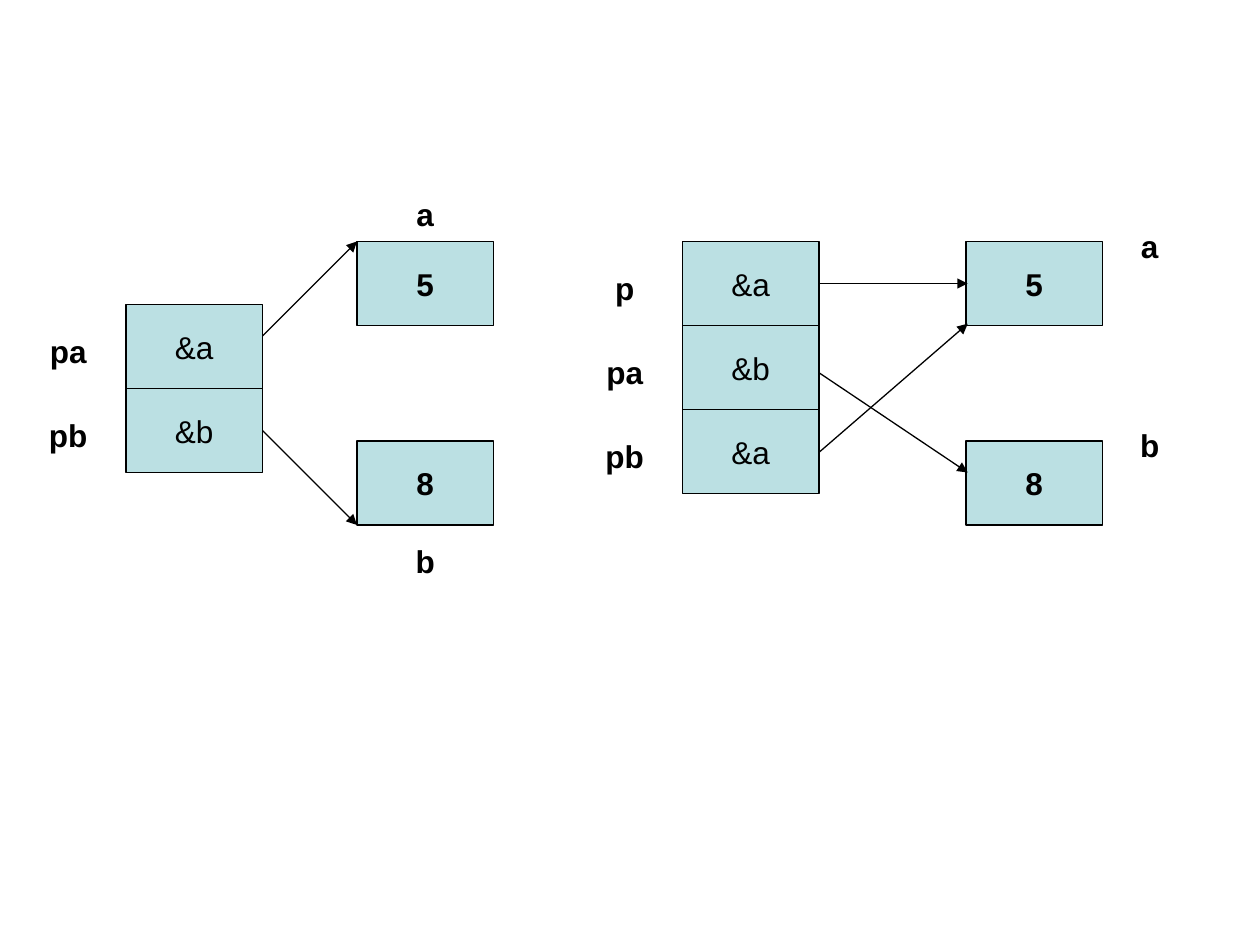
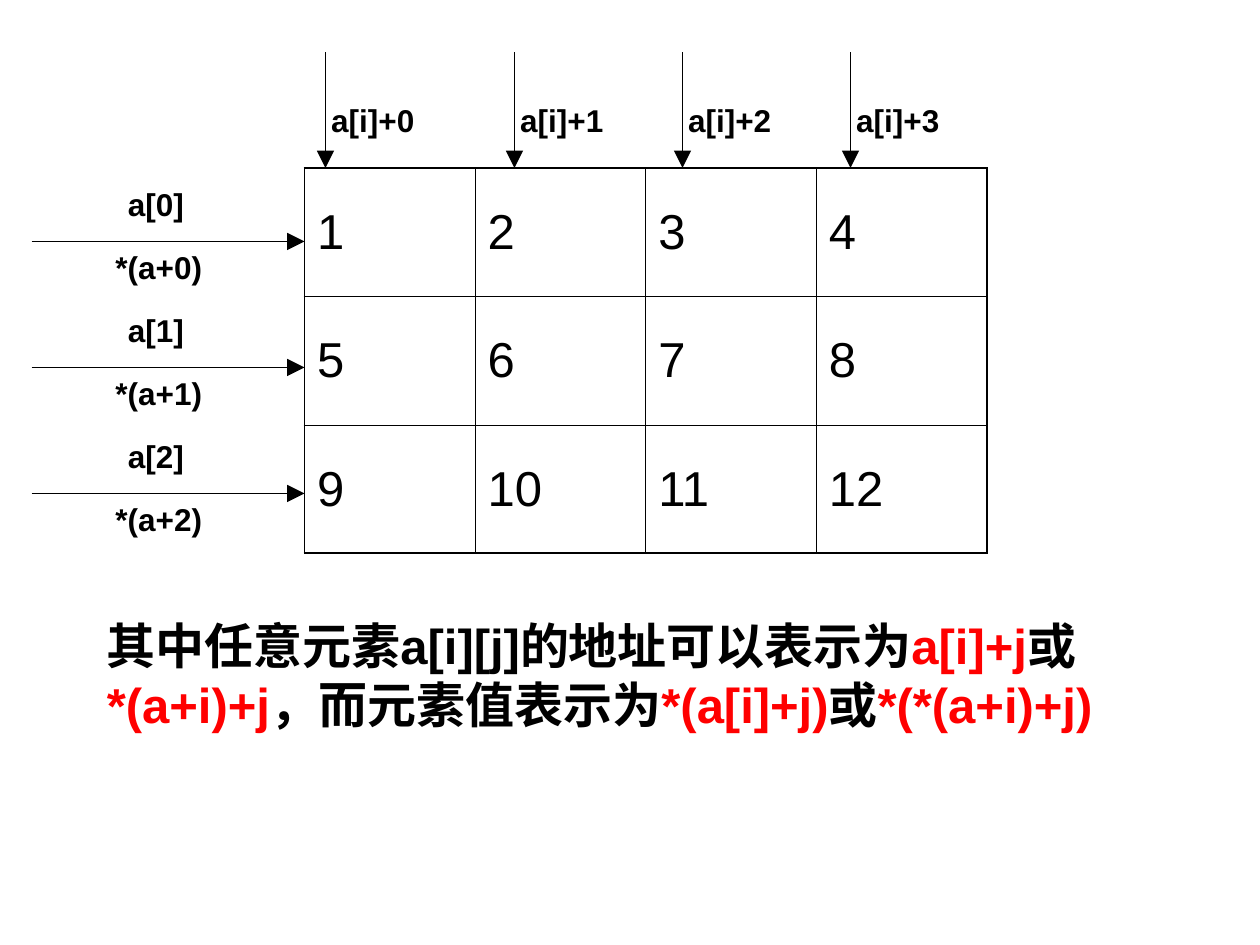
from lxml import etree
from pptx import Presentation
from pptx.dml.color import RGBColor
from pptx.enum import shapes, text
from pptx.oxml import ns
from pptx.util import Pt

FONT = "Arial"
BLACK = "000000"
RED = "FF0000"
CELL_FILL = "BBE0E3"
CELL_WIDTH, CELL_HEIGHT = 78, 48
LABEL_HEIGHT = 29
CENTER, LEFT = text.PP_ALIGN.CENTER, text.PP_ALIGN.LEFT


def color(hex_string):
    return RGBColor.from_string(hex_string)


def format_run(run, size, bold, hex_string=BLACK):
    run.font.name = FONT
    run.font.size = Pt(size)
    run.font.bold = bold
    run.font.color.rgb = color(hex_string)


def add_memory_cell(slide, left, top, content, bold):
    shape = slide.shapes.add_shape(
        shapes.MSO_SHAPE.RECTANGLE,
        Pt(left), Pt(top), Pt(CELL_WIDTH), Pt(CELL_HEIGHT))
    shape.shadow.inherit = False
    shape.fill.solid()
    shape.fill.fore_color.rgb = color(CELL_FILL)
    shape.line.color.rgb = color(BLACK)
    shape.line.width = Pt(0.75)
    frame = shape.text_frame
    frame.word_wrap = False
    frame.vertical_anchor = text.MSO_ANCHOR.MIDDLE
    frame.text = content
    frame.paragraphs[0].alignment = CENTER
    format_run(frame.paragraphs[0].runs[0], 18, bold)


def add_text(slide, box, runs, size=18, align=CENTER, inset=7.2):
    """Add one bold paragraph of (text, colour) runs in box."""
    frame = slide.shapes.add_textbox(*map(Pt, box)).text_frame
    frame.word_wrap = True
    frame.auto_size = text.MSO_AUTO_SIZE.SHAPE_TO_FIT_TEXT
    frame.margin_left = frame.margin_right = Pt(inset)
    paragraph = frame.paragraphs[0]
    paragraph.alignment = align
    for content, hex_string in runs:
        run = paragraph.add_run()
        run.text = content
        format_run(run, size, True, hex_string)


def add_label(slide, left, top, content, width=42, **options):
    add_text(slide, (left, top, width, LABEL_HEIGHT), [(content, BLACK)], **options)


def add_arrow(slide, start, end, head="med"):
    connector = slide.shapes.add_connector(
        shapes.MSO_CONNECTOR.STRAIGHT, *map(Pt, start + end))
    connector.line.color.rgb = color(BLACK)
    connector.line.width = Pt(0.75)
    properties = connector._element.spPr
    line = properties.find(ns.qn("a:ln"))
    etree.SubElement(line, ns.qn("a:tailEnd"), type="triangle", w=head, len=head)
    etree.SubElement(properties, ns.qn("a:effectLst"))


def set_borders(cell, widths):
    """Draw the borders of a cell, widths keyed by side: L, R, T, B."""
    properties = cell._tc.get_or_add_tcPr()
    for position, (side, width) in enumerate(widths.items()):
        line = etree.Element(ns.qn(f"a:ln{side}"), w=str(Pt(width)))
        fill = etree.SubElement(line, ns.qn("a:solidFill"))
        etree.SubElement(fill, ns.qn("a:srgbClr"), val=BLACK)
        properties.insert(position, line)


def add_grid(slide, left, top, column_width, row_height, rows, columns):
    """Add a table that counts from 1, with a heavier outer border."""
    frame = slide.shapes.add_table(
        rows, columns, Pt(left), Pt(top),
        Pt(column_width * columns), Pt(row_height * rows))
    table = frame.table
    table.first_row = table.horz_banding = False
    for row in table.rows:
        row.height = Pt(row_height)
    for column in table.columns:
        column.width = Pt(column_width)
    outer, inner = 1.08, 0.45
    for index, cell in enumerate(table.iter_cells()):
        row, column = divmod(index, columns)
        cell.fill.background()
        cell.vertical_anchor = text.MSO_ANCHOR.MIDDLE
        cell.text = str(index + 1)
        format_run(cell.text_frame.paragraphs[0].runs[0], 28, False)
        set_borders(cell, {
            "L": outer if column == 0 else inner,
            "R": outer if column == columns - 1 else inner,
            "T": outer if row == 0 else inner,
            "B": outer if row == rows - 1 else inner})


def add_pointers(slide, left, top, pointers):
    """Stack pointer cells with their names to the left."""
    for index, (name, address) in enumerate(pointers):
        y = top + index * CELL_HEIGHT
        add_memory_cell(slide, left, y, address, bold=False)
        add_label(slide, left - 54, y + 12, name)


def add_variables(slide, left, label_left, label_tops):
    for name, value, top, label_top in zip("ab", "58", (138, 252), label_tops):
        add_memory_cell(slide, left, top, value, bold=True)
        add_label(slide, label_left, label_top, name)


def build_pointer_slide(slide):
    add_pointers(slide, 72, 174, [("pa", "&a"), ("pb", "&b")])
    add_variables(slide, 204, 222, (108, 306))
    add_pointers(slide, 390, 138, [("p", "&a"), ("pa", "&b"), ("pb", "&a")])
    add_variables(slide, 552, 636, (126, 240))
    for start, end in [((150, 192), (204, 138)), ((150, 246), (204, 300)),
                       ((468, 162), (553, 162)), ((468, 213), (553, 270)),
                       ((468, 258.5), (553, 185))]:
        add_arrow(slide, start, end)


def build_array_slide(slide):
    table_left, table_top = 174, 96
    add_grid(slide, table_left, table_top, 97.5, 73.4, rows=3, columns=4)
    for row in range(3):
        y = 138 + 72 * row
        add_arrow(slide, (18, y), (table_left, y), "lg")
        add_label(slide, 66, y - 36, f"a[{row}]", 54, align=LEFT)
        add_label(slide, 66, y, f"*(a+{row})", 54, align=LEFT, inset=0)
    for column, x in enumerate((186, 294, 390, 486)):
        add_arrow(slide, (x, 30), (x, table_top), "lg")
        add_label(slide, x, 54, f"a[i]+{column}", 54, inset=0)
    add_text(slide, (54, 348, 606, 75), [
        ("其中任意元素a[i][j]的地址可以表示为", BLACK), ("a[i]+j", RED),
        ("或", BLACK), ("*(a+i)+j", RED),
        ("，而元素值表示为", BLACK), ("*(a[i]+j)", RED),
        ("或", BLACK), ("*(*(a+i)+j)", RED)], size=28, align=LEFT)


def main():
    presentation = Presentation()
    presentation.slide_width, presentation.slide_height = Pt(720), Pt(540)
    blank = presentation.slide_layouts[6]
    for build in (build_pointer_slide, build_array_slide):
        build(presentation.slides.add_slide(blank))
    presentation.save("out.pptx")


if __name__ == "__main__":
    main()
